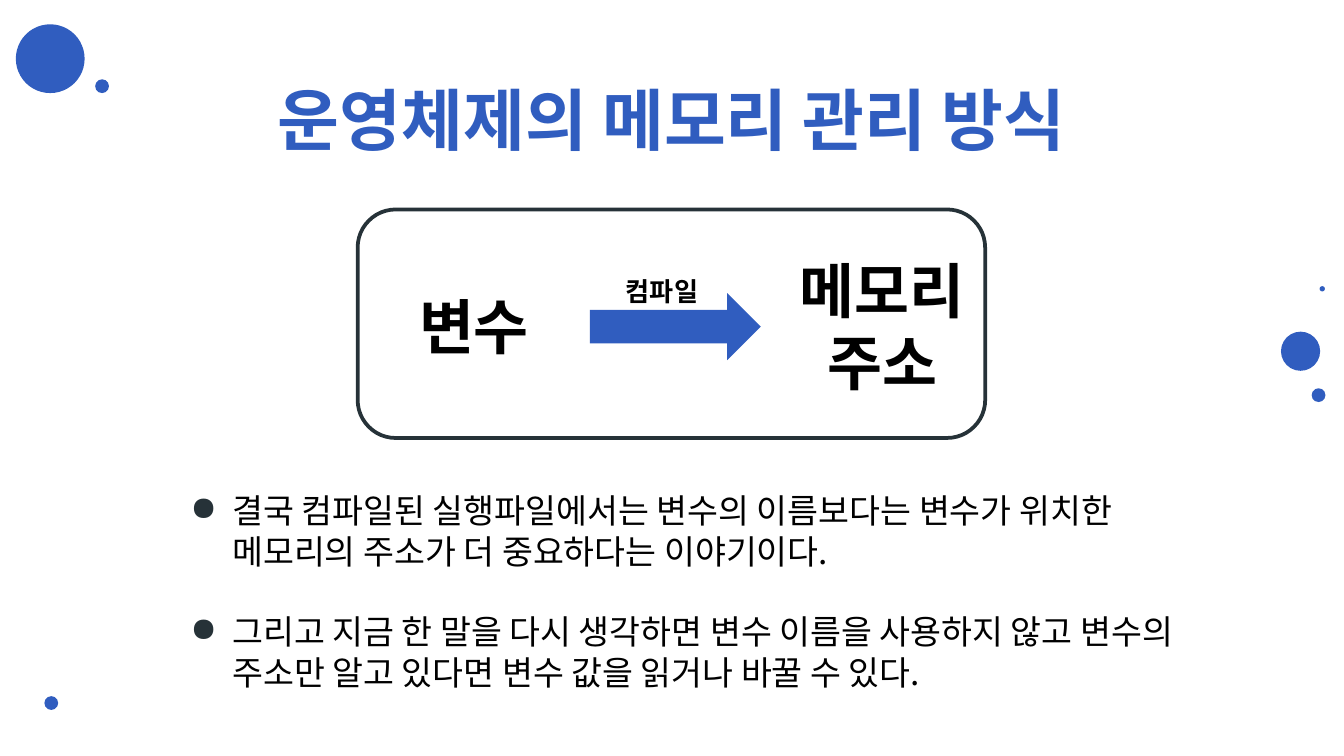
from lxml import etree
from pptx import Presentation
from pptx import util as u
from pptx.dml.color import RGBColor
from pptx.enum import shapes, text
from pptx.oxml.ns import qn

BLUE, DARK, BLACK, WHITE = "305DBF", "263238", "000000", "FFFFFF"
FONT = "Noto Sans CJK KR"
LINE_RATIO = 1.2

# left, top, diameter in cm
DOTS = [
    (0.3, 0.46, 1.3),
    (1.8, 1.5, 0.26),
    (24.21, 6.27, 0.74),
    (24.79, 7.34, 0.26),
    (24.94, 5.41, 0.1),
    (0.84, 13.16, 0.26),
]
POINTS = [
    "결국 컴파일된 실행파일에서는 변수의 이름보다는 변수가 위치한 메모리의 주소가 더 중요하다는 이야기이다.",
    "그리고 지금 한 말을 다시 생각하면 변수 이름을 사용하지 않고 변수의 주소만 알고 있다면 변수 값을 읽거나 바꿀 수 있다.",
]


def rgb(value):
    return RGBColor.from_string(value)


def set_all(obj, values):
    for name, value in values.items():
        setattr(obj, name, value)


def add_shape(slide, kind, box, fill, line=None):
    sp = slide.shapes.add_shape(kind, *map(u.Cm, box))
    sp.shadow.inherit = False
    sp.fill.solid()
    sp.fill.fore_color.rgb = rgb(fill)
    if line:
        sp.line.color.rgb = rgb(line)
        sp.line.width = u.Pt(2)
    else:
        sp.line.fill.background()
    return sp


def add_bullet(p):
    """Give the paragraph a hanging dark dot."""
    pPr = p._p.get_or_add_pPr()
    indent = u.Cm(0.79)
    pPr.set("marL", str(indent))
    pPr.set("indent", str(-indent))
    color = etree.SubElement(pPr, qn("a:buClr"))
    etree.SubElement(color, qn("a:srgbClr")).set("val", DARK)
    etree.SubElement(pPr, qn("a:buChar")).set("char", "●")


def add_text(slide, box, lines, size, color=BLACK, bold=True, align=None,
             wrap=False, inset=None, bullets=False):
    tf = slide.shapes.add_textbox(*map(u.Cm, box)).text_frame
    tf.word_wrap = wrap
    if inset:
        sides = ("left", "right", "top", "bottom")
        set_all(tf, {f"margin_{side}": u.Cm(inset) for side in sides})
    line_height = u.Pt(size * LINE_RATIO)
    for i, line in enumerate(lines):
        p = tf.add_paragraph() if i else tf.paragraphs[0]
        p.text = line
        set_all(p, {"alignment": align, "line_spacing": line_height})
        if bullets:
            p.space_after = line_height
            add_bullet(p)
        for r in p.runs:
            set_all(r.font, {"name": FONT, "size": u.Pt(size), "bold": bold})
            r.font.color.rgb = rgb(color)
            etree.SubElement(r._r.rPr, qn("a:ea")).set("typeface", FONT)


def add_diagram(slide):
    kinds = shapes.MSO_SHAPE
    add_shape(slide, kinds.ROUNDED_RECTANGLE, (6.76, 3.96, 11.86, 4.32), WHITE, DARK)
    add_text(slide, (7.67, 5.36, 2.79, 1.63), ["변수"], 32)
    add_text(slide, (14.71, 4.67, 3.94, 3), ["메모리\v주소"], 32,
             align=text.PP_ALIGN.CENTER)
    add_shape(slide, kinds.RIGHT_ARROW, (11.15, 5.54, 3.23, 1.27), BLUE)
    add_text(slide, (11.58, 5.08, 2.01, 0.86), ["컴파일"], 14)


def main():
    prs = Presentation()
    set_all(prs, {"slide_width": u.Cm(25.4), "slide_height": u.Cm(14.29)})
    slide = prs.slides.add_slide(prs.slide_layouts[6])
    for left, top, size in DOTS:
        add_shape(slide, shapes.MSO_SHAPE.OVAL, (left, top, size, size), BLUE)
    add_text(slide, (1.9, 1.24, 21.59, 1.6), ["운영체제의 메모리 관리 방식"], 36,
             color=BLUE, align=text.PP_ALIGN.CENTER, wrap=True, inset=0.25)
    add_diagram(slide)
    add_text(slide, (3.35, 9.02, 19.3, 7.82), POINTS, 18, bold=False,
             wrap=True, inset=0.25, bullets=True)
    prs.save("out.pptx")


if __name__ == "__main__":
    main()
